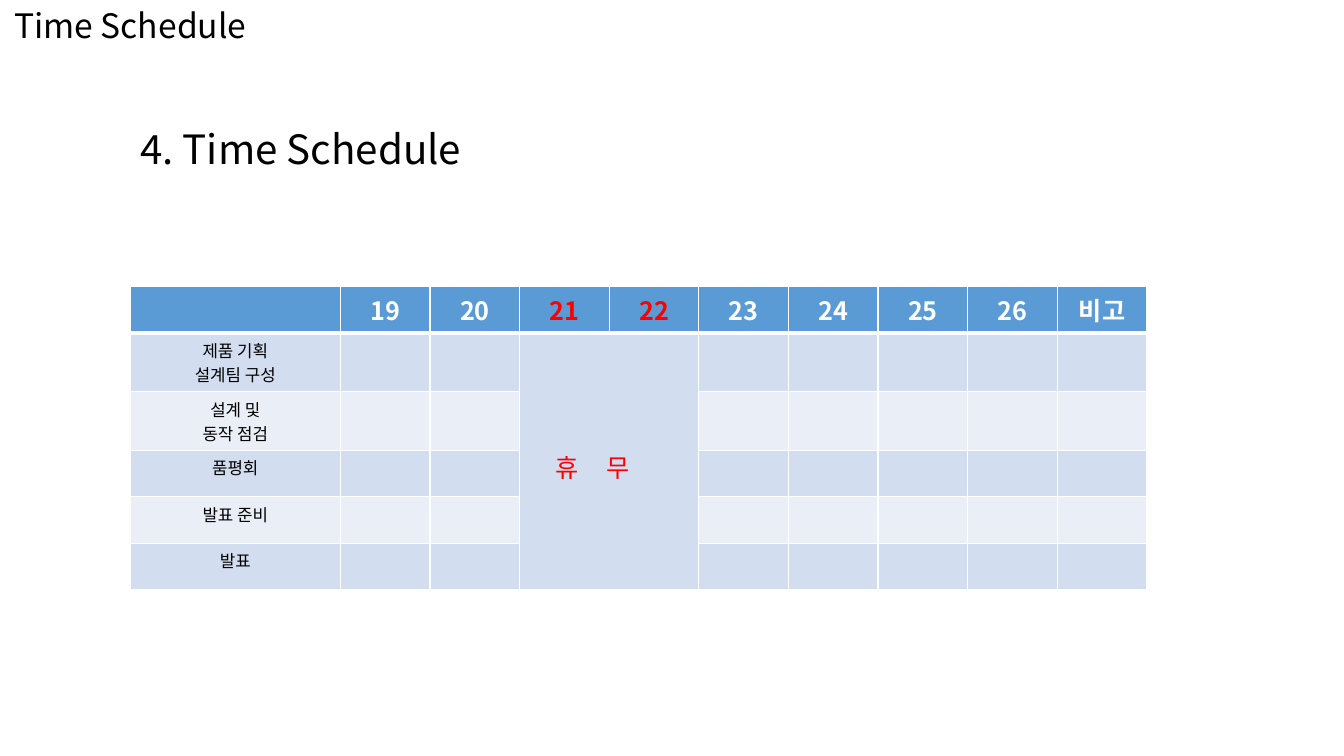
from dataclasses import dataclass

from lxml import etree
from pptx import Presentation
from pptx import util as u
from pptx.dml.color import RGBColor
from pptx.enum import text
from pptx.oxml.ns import qn


@dataclass(frozen=True)
class Theme:
    font: str = "Noto Sans CJK KR"
    black: str = "000000"
    white: str = "FFFFFF"
    holiday: str = "FF0000"
    header: str = "5B9BD5"
    bands: tuple = ("D2DEEF", "EAEFF7")
    title_size: float = 28.8
    caption_size: float = 24
    table_size: float = 18
    task_size: float = 12


THEME = Theme()
DAYS = ["19", "20", "21", "22", "23", "24", "25", "26", "비고"]
HOLIDAYS = ("21", "22")
TASKS = ["제품 기획\n설계팀 구성", "설계 및\n동작 점검", "품평회", "발표 준비", "발표"]


def write(frame, wording, size, color=THEME.black, bold=False,
          align=text.PP_ALIGN.CENTER, line_spacing=None):
    frame.text = wording
    for paragraph in frame.paragraphs:
        paragraph.alignment = align
        paragraph.line_spacing = line_spacing
        for run in paragraph.runs:
            formats = {"name": THEME.font, "size": u.Pt(size), "bold": bold}
            for attribute, value in formats.items():
                setattr(run.font, attribute, value)
            run.font.color.rgb = RGBColor.from_string(color)
            east_asian = etree.SubElement(run.font._element, qn("a:ea"))
            east_asian.set("typeface", THEME.font)


def style_cell(cell, fill, bottom_width=1):
    """Fill the cell and give it white borders."""
    properties = cell._tc.get_or_add_tcPr()
    for side, width in {"L": 1, "R": 1, "T": 1, "B": bottom_width}.items():
        line = etree.SubElement(properties, qn(f"a:ln{side}"), w=str(u.Pt(width)))
        solid = etree.SubElement(line, qn("a:solidFill"))
        etree.SubElement(solid, qn("a:srgbClr"), val=THEME.white)
    cell.fill.solid()
    cell.fill.fore_color.rgb = RGBColor.from_string(fill)


def add_caption(slide, left, top, width, height):
    caption = slide.shapes.add_textbox(left, top, width, height)
    caption.text_frame.word_wrap = True
    write(caption.text_frame, "Time Schedule", THEME.caption_size, line_spacing=0.9)


def place_title(slide, left, top, width, height):
    title = slide.shapes.title
    box = {"left": left, "top": top, "width": width, "height": height}
    for attribute, value in box.items():
        setattr(title, attribute, value)
    frame = title.text_frame
    write(frame, "4. Time Schedule", THEME.title_size,
          align=text.PP_ALIGN.LEFT, line_spacing=0.9)
    frame.vertical_anchor = text.MSO_ANCHOR.TOP
    frame.auto_size = text.MSO_AUTO_SIZE.NONE


def mark_holiday(schedule):
    """Merge the days off into one block below their headings."""
    first = DAYS.index(HOLIDAYS[0]) + 1
    last = DAYS.index(HOLIDAYS[-1]) + 1
    block = schedule.cell(1, first)
    block.merge(schedule.cell(len(TASKS), last))
    write(block.text_frame, "휴 무", THEME.table_size, THEME.holiday,
          align=text.PP_ALIGN.LEFT)
    block.text_frame.paragraphs[0].runs[0].font._element.set("spc", "790")
    block.vertical_anchor = text.MSO_ANCHOR.MIDDLE
    block.margin_left = u.Cm(0.9)
    block.margin_top = u.Cm(0.4)


def add_schedule(slide, left, top, width, height):
    schedule = slide.shapes.add_table(
        len(TASKS) + 1, len(DAYS) + 1, left, top, width, height).table
    schedule.first_row = schedule.horz_banding = False

    task_width = u.Cm(5.3)
    day_width = (width - task_width) // len(DAYS)
    for index, column in enumerate(schedule.columns):
        column.width = day_width if index else task_width

    two_line_height = u.Cm(1.48)
    two_line_count = sum("\n" in task for task in TASKS)
    one_line_height = ((height - two_line_count * two_line_height)
                       // (len(TASKS) + 1 - two_line_count))
    for row, label in zip(schedule.rows, ["", *TASKS]):
        row.height = two_line_height if "\n" in label else one_line_height

    for r, row in enumerate(schedule.rows):
        fill = THEME.bands[(r - 1) % 2] if r else THEME.header
        for cell in row.cells:
            style_cell(cell, fill, bottom_width=1 if r else 3)

    for c, day in enumerate(DAYS, start=1):
        color = THEME.holiday if day in HOLIDAYS else THEME.white
        write(schedule.cell(0, c).text_frame, day, THEME.table_size, color, bold=True)
    for r, task in enumerate(TASKS, start=1):
        write(schedule.cell(r, 0).text_frame, task, THEME.task_size)
    mark_holiday(schedule)


def main():
    deck = Presentation()
    deck.slide_width, deck.slide_height = u.Cm(33.87), u.Cm(19.05)
    slide = deck.slides.add_slide(deck.slide_layouts.get_by_name("Title Only"))
    place_title(slide, u.Cm(3.28), u.Cm(3.15), u.Cm(25.4), u.Cm(2.8))
    add_caption(slide, u.Cm(-0.18), u.Cm(0.12), u.Cm(6.93), u.Cm(1.27))
    add_schedule(slide, u.Cm(3.28), u.Cm(7.22), u.Cm(25.63), u.Cm(7.64))
    deck.save("out.pptx")


if __name__ == "__main__":
    main()
